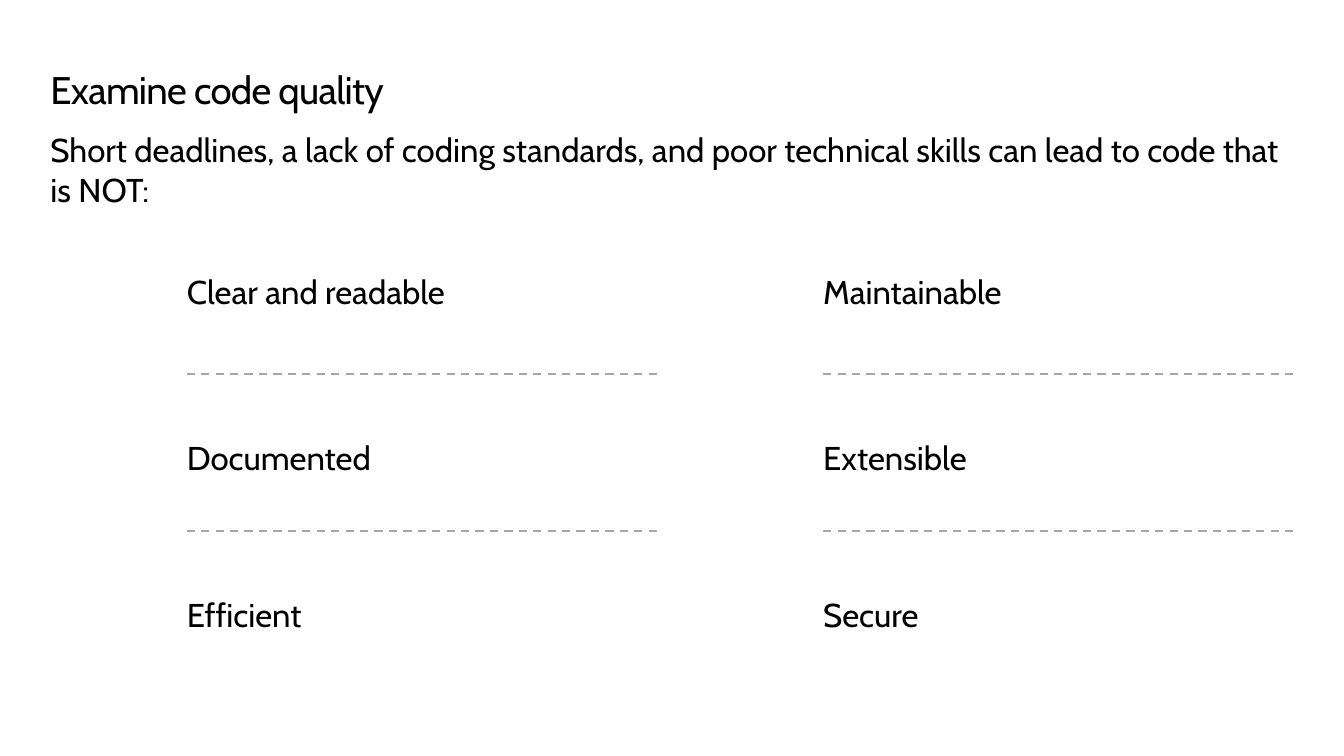
from lxml import etree
from pptx import Presentation
from pptx.dml.color import RGBColor
from pptx.enum.dml import MSO_LINE
from pptx.enum.shapes import MSO_CONNECTOR
from pptx.enum.text import MSO_ANCHOR
from pptx.oxml.ns import qn
from pptx.util import Inches, Pt

BLACK = RGBColor(0x00, 0x00, 0x00)
GRAY = RGBColor(0xA6, 0xA6, 0xA6)
TOP = MSO_ANCHOR.TOP
MIDDLE = MSO_ANCHOR.MIDDLE
DASH = MSO_LINE.DASH
STRAIGHT = MSO_CONNECTOR.STRAIGHT

COLUMNS = (
    (1.89, ("Clear and readable", "Documented", "Efficient")),
    (8.33, ("Maintainable", "Extensible", "Secure")),
)
ROWS = (2.25, 3.93, 5.52)
RULES = (3.78, 5.37)


def apply(target, values):
    """Set each named attribute on the target."""
    for name, value in values.items():
        setattr(target, name, value)


class Board:
    """Hold the text style and the slide being drawn."""

    frame = {"word_wrap": True, "margin_left": 0, "margin_right": 0,
             "margin_top": 0, "margin_bottom": 0}
    font = {"name": "Cabin", "size": Pt(24)}
    rule = {"width": Pt(1.5), "dash_style": DASH}

    def __init__(self, slide):
        """Keep the current slide."""
        self.slide = slide

    def text(self, words, left, top, width, height, anchor=MIDDLE, **style):
        """Add a text box and return its paragraph."""
        box = self.slide.shapes.add_textbox(
            Inches(left), Inches(top), Inches(width), Inches(height))
        apply(box.text_frame, {**self.frame, "vertical_anchor": anchor})
        para = box.text_frame.paragraphs[0]
        run = para.add_run()
        run.text = words
        apply(run.font, {**self.font, **style})
        run.font.color.rgb = BLACK
        return para

    def title(self, words, left, top, width, height):
        """Add the heading with tight letters and fixed line height."""
        para = self.text(words, left, top, width, height, TOP, size=Pt(28))
        para.line_spacing = Pt(32)
        para.runs[0].font._element.set("spc", "-50")

    def line(self, left, top, width):
        """Add a dashed level line."""
        link = self.slide.shapes.add_connector(
            STRAIGHT, Inches(left), Inches(top),
            Inches(left + width), Inches(top))
        apply(link.line, self.rule)
        link.line.color.rgb = GRAY
        etree.SubElement(link._element.spPr, qn("a:effectLst"))


def main():
    """Build and save the slide."""
    deck = Presentation()
    apply(deck, {"slide_width": Inches(13.6), "slide_height": Inches(7.65)})
    board = Board(deck.slides.add_slide(deck.slide_layouts[6]))

    board.title("Examine code quality", 0.51, 0.69, 12.61, 0.45)
    board.text("Short deadlines, a lack of coding standards, and poor "
               "technical skills can lead to code that is NOT:",
               0.51, 1.31, 12.61, 0.81)

    for left, traits in COLUMNS:
        for top, trait in zip(ROWS, traits):
            board.text(trait, left, top, 4.81, 1.39)
        for top in RULES:
            board.line(left, top, 4.78)

    deck.save("out.pptx")


if __name__ == "__main__":
    main()
